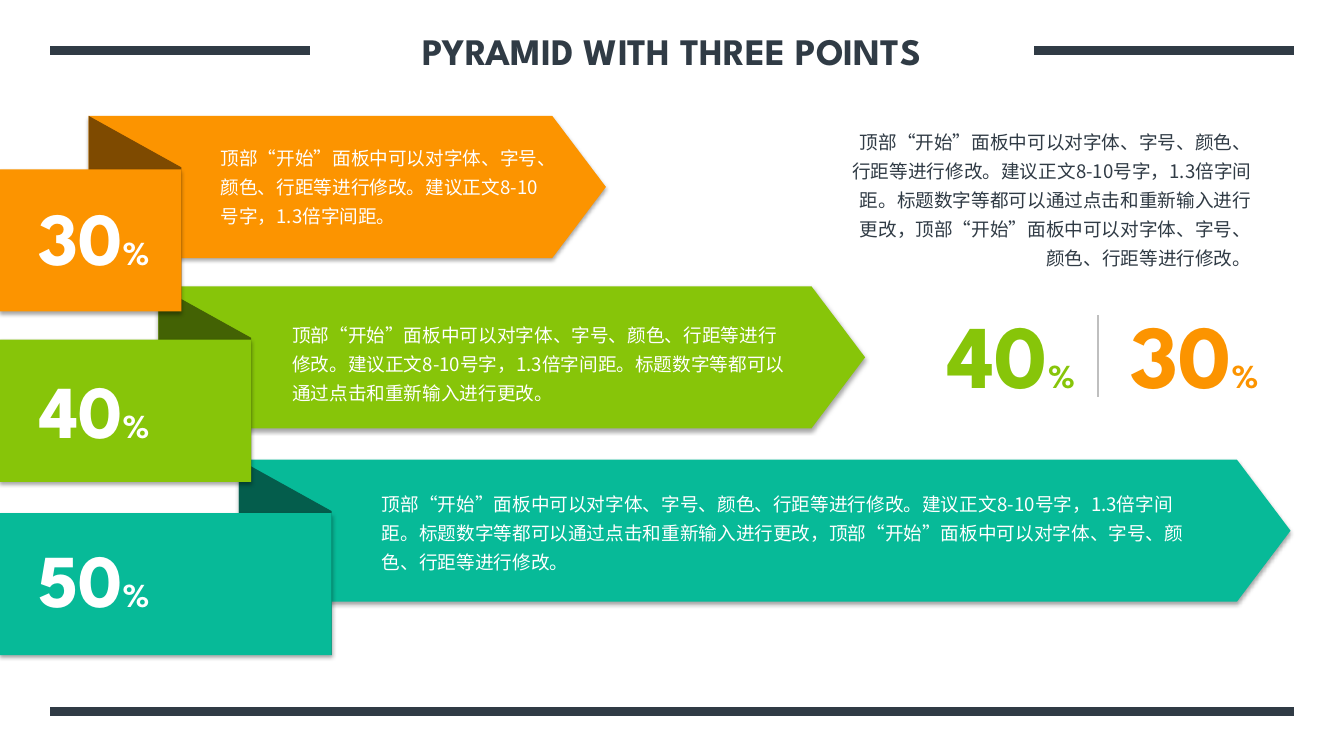
from dataclasses import dataclass

import pptx
import pptx.dml.color
import pptx.enum.lang
import pptx.enum.shapes
import pptx.enum.text
import pptx.oxml
import pptx.oxml.ns
import pptx.util

SHAPE = pptx.enum.shapes.MSO_SHAPE
ALIGN = pptx.enum.text.PP_ALIGN
ANCHOR = pptx.enum.text.MSO_ANCHOR
FIT = pptx.enum.text.MSO_AUTO_SIZE


@dataclass(frozen=True)
class Theme:
    heading: str = "League Spartan"
    body: str = "Noto Sans CJK SC"
    dark: str = "303B45"
    white: str = "FFFFFF"
    rule: str = "BFBFBF"
    orange: str = "FC9400"
    green: str = "87C509"
    teal: str = "07BA98"
    title_size: float = 26.7
    body_size: float = 13.3
    band_size: float = 53.3
    figure_size: float = 64
    percent_size: float = 24


@dataclass(frozen=True)
class Box:
    """Position and size in grid columns and rows."""
    x: float
    y: float
    w: float
    h: float


@dataclass(frozen=True)
class Band:
    number: str
    color: str
    fold_color: str
    left: float
    top: float
    tip: float
    number_top: float
    note: str
    note_box: Box


@dataclass(frozen=True)
class Figure:
    number: str
    color: str
    size: float
    box: Box


@dataclass(frozen=True)
class Rule:
    x1: float
    y1: float
    x2: float
    y2: float
    color: str
    width: float


# Slide and grid: square cells, 75 rows high
T = Theme()
prs = pptx.Presentation()
prs.slide_width = pptx.util.Inches(13.33)
prs.slide_height = pptx.util.Inches(7.5)
CELL = prs.slide_height / 75
s = prs.slides.add_slide(prs.slide_layouts[5])

# Band geometry shared by all three steps
BAND_H, FOLD_W, DROP = 14.1, 9.2, 5.3
SHADOW = (f'<a:effectLst {pptx.oxml.ns.nsdecls("a")}>'
          '<a:outerShdw blurRad="39370" dist="22860" dir="5400000" algn="t" rotWithShape="0">'
          '<a:srgbClr val="000000"><a:alpha val="35000"/></a:srgbClr>'
          '</a:outerShdw></a:effectLst>')
NO_EFFECT = f'<a:effectLst {pptx.oxml.ns.nsdecls("a")}/>'


def grid(n: float) -> int:
    return round(n * CELL)


def frame(box: Box) -> tuple[int, int, int, int]:
    return grid(box.x), grid(box.y), grid(box.w), grid(box.h)


def rgb(color: str) -> pptx.dml.color.RGBColor:
    return pptx.dml.color.RGBColor.from_string(color)


def add_run(p, text: str, size: float, color: str, font: str, bold: bool = False) -> None:
    r = p.add_run()
    r.text = text
    r.font.size, r.font.bold, r.font.name = pptx.util.Pt(size), bold, font
    r.font.color.rgb = rgb(color)
    if font == T.body:
        r.font.language_id = pptx.enum.lang.MSO_LANGUAGE_ID.SIMPLIFIED_CHINESE
    ea = pptx.oxml.parse_xml(f'<a:ea {pptx.oxml.ns.nsdecls("a")} typeface="{font}"/>')
    r.font._element.find(pptx.oxml.ns.qn("a:latin")).addnext(ea)


def add_panel(kind, box: Box, color: str, adjust: float | None = None,
              rotation: float = 0, shadow: bool = True) -> None:
    sp = s.shapes.add_shape(kind, *frame(box))
    sp.fill.solid()
    sp.fill.fore_color.rgb = rgb(color)
    sp.line.fill.background()
    sp.rotation = rotation
    if adjust is not None:
        sp.adjustments[0] = adjust
    if shadow:
        sp._element.spPr.append(pptx.oxml.parse_xml(SHADOW))
    else:
        sp.shadow.inherit = False


def add_band(band: Band) -> None:
    arrow = Box(band.left, band.top, band.tip - band.left, BAND_H)
    add_panel(SHAPE.PENTAGON, arrow, band.color, 0.377)
    # The fold stands upright, so its box is turned about its centre
    length = BAND_H + DROP
    turn = (length - FOLD_W) / 2
    fold = Box(band.left - turn, band.top + turn, length, FOLD_W)
    add_panel(SHAPE.PARALLELOGRAM, fold, band.fold_color, 0.555, 270, False)
    label = Box(0, band.top + DROP, band.left + FOLD_W, BAND_H)
    add_panel(SHAPE.RECTANGLE, label, band.color)


def add_note(text: str, box: Box, color: str, align=ALIGN.LEFT) -> None:
    tf = s.shapes.add_textbox(*frame(box)).text_frame
    tf.word_wrap, tf.auto_size = True, FIT.SHAPE_TO_FIT_TEXT
    p = tf.paragraphs[0]
    p.alignment, p.line_spacing = align, 1.3
    add_run(p, text, T.body_size, color, T.body)


def add_figure(fig: Figure) -> None:
    tf = s.shapes.add_textbox(*frame(fig.box)).text_frame
    tf.word_wrap, tf.auto_size = False, FIT.SHAPE_TO_FIT_TEXT
    p = tf.paragraphs[0]
    p.alignment = ALIGN.RIGHT
    add_run(p, fig.number, fig.size, fig.color, T.heading, True)
    add_run(p, "%", T.percent_size, fig.color, T.heading, True)


def add_rule(rule: Rule) -> None:
    ends = (grid(n) for n in (rule.x1, rule.y1, rule.x2, rule.y2))
    line = s.shapes.add_connector(pptx.enum.shapes.MSO_CONNECTOR.STRAIGHT, *ends)
    line.line.color.rgb = rgb(rule.color)
    line.line.width = pptx.util.Pt(rule.width)
    line._element.spPr.append(pptx.oxml.parse_xml(NO_EFFECT))


# Wording built from the shared sentences
FORMAT = "顶部“开始”面板中可以对字体、字号、颜色、行距等进行修改"
SHORT = FORMAT + "。建议正文8-10号字，1.3倍字间距。"
MEDIUM = SHORT + "标题数字等都可以通过点击和重新输入进行更改"
LONG = MEDIUM + "，" + FORMAT + "。"

BANDS = [
    Band("50", T.teal, "045D4C", 23.7, 45.6, 128, 52.4, LONG, Box(36.9, 47.7, 81.8, 9.8)),
    Band("40", T.green, "436204", 15.7, 28.4, 85.8, 35.6, MEDIUM + "。", Box(28, 31, 51.3, 9.8)),
    Band("30", T.orange, "7E4A00", 8.8, 11.5, 60.1, 18.4, SHORT, Box(20.9, 13.4, 33.7, 9.8)),
]
FIGURES = [
    Figure("40", T.green, T.figure_size, Box(92.6, 29.2, 15, 11.8)),
    Figure("30", T.orange, T.figure_size, Box(110.8, 29.2, 15, 11.8)),
]
RULES = [
    Rule(5, 5, 30.7, 5, T.dark, 6),
    Rule(102.6, 5, 128.3, 5, T.dark, 6),
    Rule(5, 70.6, 128.3, 70.6, T.dark, 6),
    Rule(108.9, 31.3, 108.9, 39.4, T.rule, 1),
]

# Title
title = s.shapes.title
title.left, title.top, title.width, title.height = frame(Box(30.7, 2, 71.9, 6))
tf = title.text_frame
tf.auto_size, tf.vertical_anchor = FIT.NONE, ANCHOR.MIDDLE
tf.paragraphs[0].alignment = ALIGN.CENTER
add_run(tf.paragraphs[0], "PYRAMID WITH THREE POINTS", T.title_size, T.dark, T.heading, True)

# Rules, then bands from the lowest up so each label overlaps the next arrow
for rule in RULES:
    add_rule(rule)
for band in BANDS:
    add_band(band)
    add_figure(Figure(band.number, T.white, T.band_size, Box(2.5, band.number_top, 13.3, 10)))
    add_note(band.note, band.note_box, T.white)

# Summary on the right
add_note(LONG, Box(82.6, 11.8, 42.5, 15.6), T.dark, ALIGN.RIGHT)
for fig in FIGURES:
    add_figure(fig)

prs.save("out.pptx")
